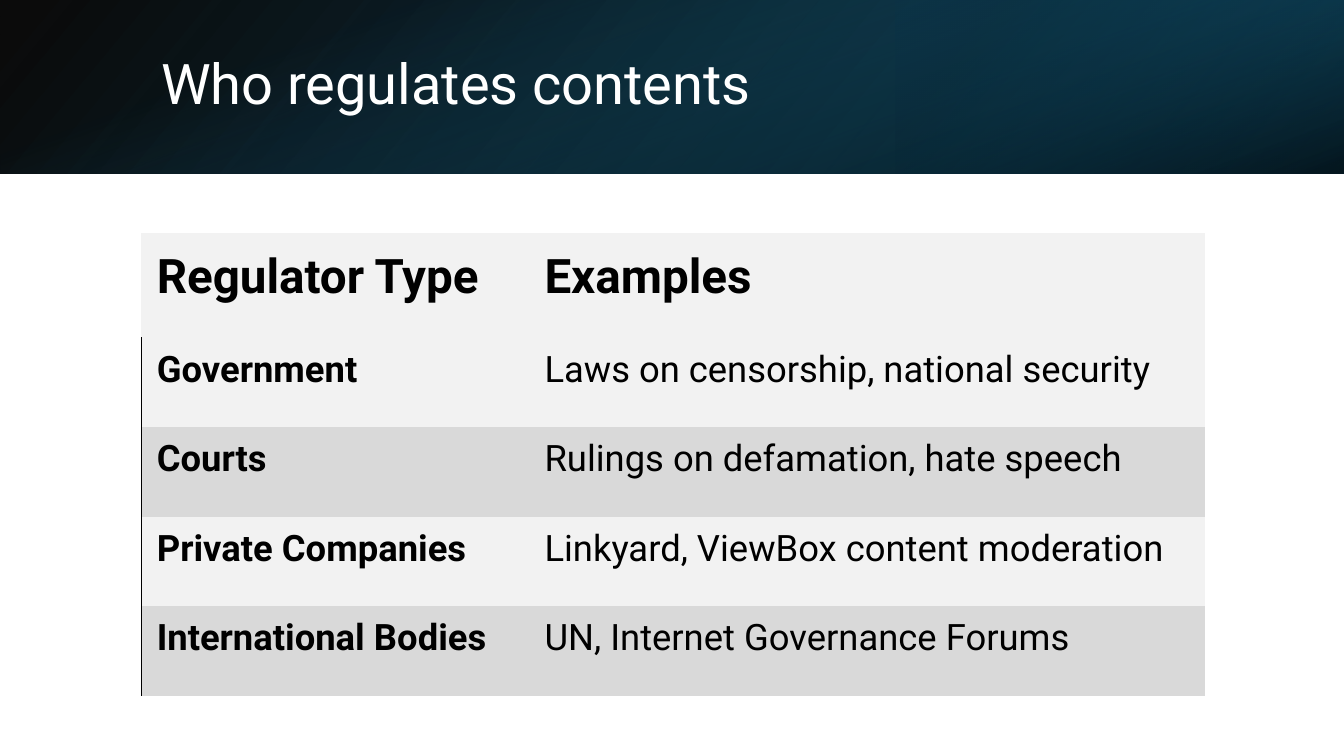
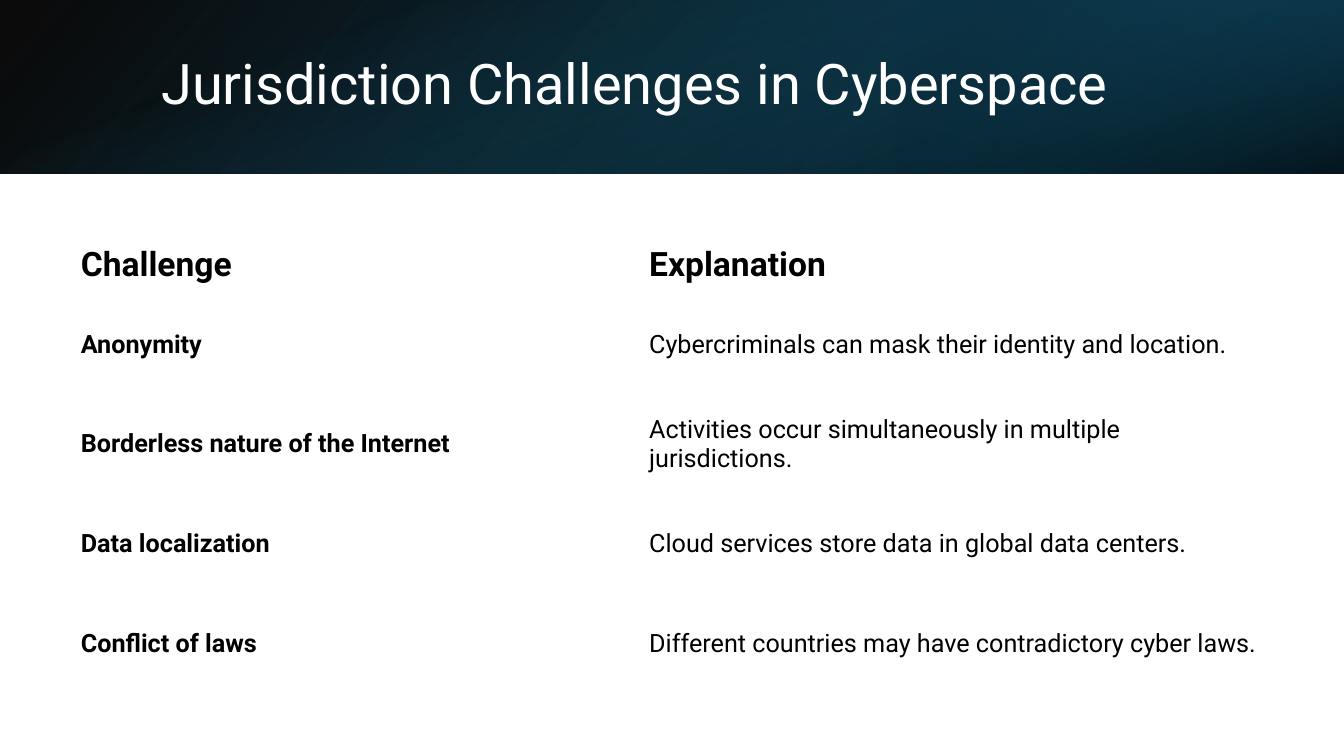
"""Build two slides on regulating online content, each with a title band and a table."""
from dataclasses import dataclass
from typing import Any, Optional

from lxml import etree
from pptx import Presentation
from pptx.dml.color import RGBColor
from pptx.enum.shapes import MSO_SHAPE
from pptx.enum.text import MSO_ANCHOR, MSO_AUTO_SIZE, PP_ALIGN
from pptx.oxml.ns import qn
from pptx.util import Pt

RECTANGLE = MSO_SHAPE.RECTANGLE
MIDDLE, BOTTOM = MSO_ANCHOR.MIDDLE, MSO_ANCHOR.BOTTOM
NO_FIT = MSO_AUTO_SIZE.NONE
LEFT = PP_ALIGN.LEFT

BLACK = RGBColor(0x00, 0x00, 0x00)
WHITE = RGBColor(0xFF, 0xFF, 0xFF)
LIGHT_GREY = RGBColor(0xF2, 0xF2, 0xF2)
MID_GREY = RGBColor(0xD9, 0xD9, 0xD9)
DEEP_BLUE = RGBColor(0x10, 0x48, 0x62)
NIGHT_BLUE = RGBColor(0x0B, 0x30, 0x41)
TEAL = RGBColor(0x15, 0x60, 0x82)

FONT = "Roboto"
SLIDE_WIDTH, SLIDE_HEIGHT = 960, 540
BAND_HEIGHT = 124
TITLE_ONLY = 5
PLAIN_TABLE_STYLE = "{2D5ABB26-0587-4C30-8999-92F81FD0307C}"

TITLE_PLACE = {"left": Pt(108), "top": Pt(27.5), "width": Pt(790.5), "height": Pt(69)}
TITLE_FRAME = {"vertical_anchor": MIDDLE, "auto_size": NO_FIT, "word_wrap": True}
TITLE_PARAGRAPH = {"alignment": LEFT, "line_spacing": 0.9}


@dataclass(frozen=True)
class Stop:
    """One colour of a gradient, with position and opacity from 0 to 1."""

    position: float
    color: RGBColor
    opacity: float = 1


@dataclass(frozen=True)
class Layer:
    """One gradient rectangle of the title band."""

    left: float
    top: float
    width: float
    height: float
    angle: float
    stops: tuple[Stop, Stop]
    rotation: float = 0
    flipped: bool = False


@dataclass(frozen=True)
class TableStyle:
    """Measures and formats of one table."""

    left: float
    top: float
    columns: tuple[float, ...]
    header_height: float
    row_height: float
    header_size: float
    body_size: float
    header_anchor: MSO_ANCHOR
    cell_format: dict[str, Any]
    paragraph_format: dict[str, Any]
    row_fills: tuple[Optional[RGBColor], ...]
    left_rule: bool = False


@dataclass(frozen=True)
class Topic:
    """The title and table rows of one slide."""

    title: str
    rows: tuple[tuple[str, str], ...]
    style: TableStyle


BAND = (
    Layer(0, 0, SLIDE_WIDTH, BAND_HEIGHT, 140,
          (Stop(0, BLACK, 0.96), Stop(1, DEEP_BLUE)), flipped=True),
    Layer(640, 0, 320, BAND_HEIGHT, 320,
          (Stop(0.19, NIGHT_BLUE, 0.68), Stop(1, TEAL, 0.79)), 180, True),
    Layer((SLIDE_WIDTH - BAND_HEIGHT) / 2, (BAND_HEIGHT - SLIDE_WIDTH) / 2,
          BAND_HEIGHT, SLIDE_WIDTH, 340,
          (Stop(0.23, TEAL, 0), Stop(0.99, BLACK, 0.74)), 90),
)

SHADED = TableStyle(
    101, 166.5, (277, 482.5), 74.5, 64, 34, 26, BOTTOM,
    {"margin_left": Pt(11), "margin_top": Pt(3),
     "margin_right": Pt(1.5), "margin_bottom": Pt(23)},
    {"line_spacing": 1.07, "space_after": Pt(8)},
    (LIGHT_GREY, LIGHT_GREY, MID_GREY, LIGHT_GREY, MID_GREY), True,
)
OPEN = TableStyle(
    50.5, 168, (406, 454.5), 42.5, 71.25, 24, 18, MIDDLE, {}, {}, (None,) * 5,
)

TOPICS = (
    Topic("Who regulates contents", (
        ("Regulator Type", "Examples"),
        ("Government", "Laws on censorship, national security"),
        ("Courts", "Rulings on defamation, hate speech"),
        ("Private Companies", "Linkyard, ViewBox content moderation"),
        ("International Bodies", "UN, Internet Governance Forums"),
    ), SHADED),
    Topic("Jurisdiction Challenges in Cyberspace", (
        ("Challenge", "Explanation"),
        ("Anonymity", "Cybercriminals can mask their identity and location."),
        ("Borderless nature of the Internet",
         "Activities occur simultaneously in multiple jurisdictions."),
        ("Data localization", "Cloud services store data in global data centers."),
        ("Conflict of laws", "Different countries may have contradictory cyber laws."),
    ), OPEN),
)


def apply(target: Any, values: dict[str, Any]) -> None:
    """Set each named attribute of the target."""
    for name, value in values.items():
        setattr(target, name, value)


def write(paragraph: Any, text: str, size: float, color: RGBColor, bold: bool) -> None:
    """Add a formatted run to the paragraph."""
    run = paragraph.add_run()
    run.text = text
    apply(run.font, {"name": FONT, "size": Pt(size), "bold": bold})
    run.font.color.rgb = color


def draw_layer(slide: Any, layer: Layer, depth: int) -> None:
    """Draw one band layer behind the placeholders."""
    rectangle = slide.shapes.add_shape(
        RECTANGLE, Pt(layer.left), Pt(layer.top), Pt(layer.width), Pt(layer.height))
    rectangle.rotation = layer.rotation
    rectangle.shadow.inherit = False
    rectangle.line.fill.background()
    rectangle.fill.gradient()
    rectangle.fill.gradient_angle = 360 - layer.angle
    for gradient_stop, stop in zip(rectangle.fill.gradient_stops, layer.stops):
        gradient_stop.position = stop.position
        gradient_stop.color.rgb = stop.color
    colors = rectangle.element.spPr.iter(qn("a:srgbClr"))
    for color, stop in zip(list(colors), layer.stops):
        etree.SubElement(color, qn("a:alpha"), val=str(round(stop.opacity * 100000)))
    if layer.flipped:
        rectangle.element.spPr.find(qn("a:xfrm")).set("flipH", "1")
    slide.shapes.element.insert(2 + depth, rectangle.element)


def draw_title(slide: Any, text: str) -> None:
    """Place and fill the title placeholder."""
    title = slide.shapes.title
    apply(title, TITLE_PLACE)
    apply(title.text_frame, TITLE_FRAME)
    paragraph = title.text_frame.paragraphs[0]
    apply(paragraph, TITLE_PARAGRAPH)
    write(paragraph, text, 40, WHITE, False)


def rule_left(cell: Any) -> None:
    """Give the cell a thin black left border."""
    properties = cell.fill._xPr
    border = etree.Element(qn("a:lnL"), w=str(Pt(1)))
    solid = etree.SubElement(border, qn("a:solidFill"))
    etree.SubElement(solid, qn("a:srgbClr"), val=str(BLACK))
    properties.insert(0, border)


def draw_cell(cell: Any, text: str, row: int, column: int, style: TableStyle) -> None:
    """Fill and format one table cell."""
    header = row == 0
    apply(cell, style.cell_format)
    cell.vertical_anchor = style.header_anchor if header else MIDDLE
    fill = style.row_fills[row]
    if fill is None:
        cell.fill.background()
    else:
        cell.fill.solid()
        cell.fill.fore_color.rgb = fill
    if style.left_rule and column == 0 and not header:
        rule_left(cell)
    paragraph = cell.text_frame.paragraphs[0]
    apply(paragraph, style.paragraph_format)
    size = style.header_size if header else style.body_size
    write(paragraph, text, size, BLACK, header or column == 0)


def draw_table(slide: Any, topic: Topic) -> None:
    """Draw the table of a topic."""
    style = topic.style
    heights = [style.header_height] + [style.row_height] * (len(topic.rows) - 1)
    frame = slide.shapes.add_table(
        len(heights), len(style.columns), Pt(style.left), Pt(style.top),
        Pt(sum(style.columns)), Pt(sum(heights)))
    table = frame.table
    apply(table, {"first_row": False, "horz_banding": False})
    for style_id in frame.element.iter(qn("a:tableStyleId")):
        style_id.text = PLAIN_TABLE_STYLE
    for column, width in zip(table.columns, style.columns):
        column.width = Pt(width)
    for row, (texts, height) in enumerate(zip(topic.rows, heights)):
        table.rows[row].height = Pt(height)
        for column, text in enumerate(texts):
            draw_cell(table.cell(row, column), text, row, column, style)


def main() -> None:
    """Build and save the presentation."""
    presentation = Presentation()
    apply(presentation, {"slide_width": Pt(SLIDE_WIDTH), "slide_height": Pt(SLIDE_HEIGHT)})
    for topic in TOPICS:
        slide = presentation.slides.add_slide(presentation.slide_layouts[TITLE_ONLY])
        for depth, layer in enumerate(BAND):
            draw_layer(slide, layer, depth)
        draw_title(slide, topic.title)
        draw_table(slide, topic)
    presentation.save("out.pptx")


if __name__ == "__main__":
    main()
